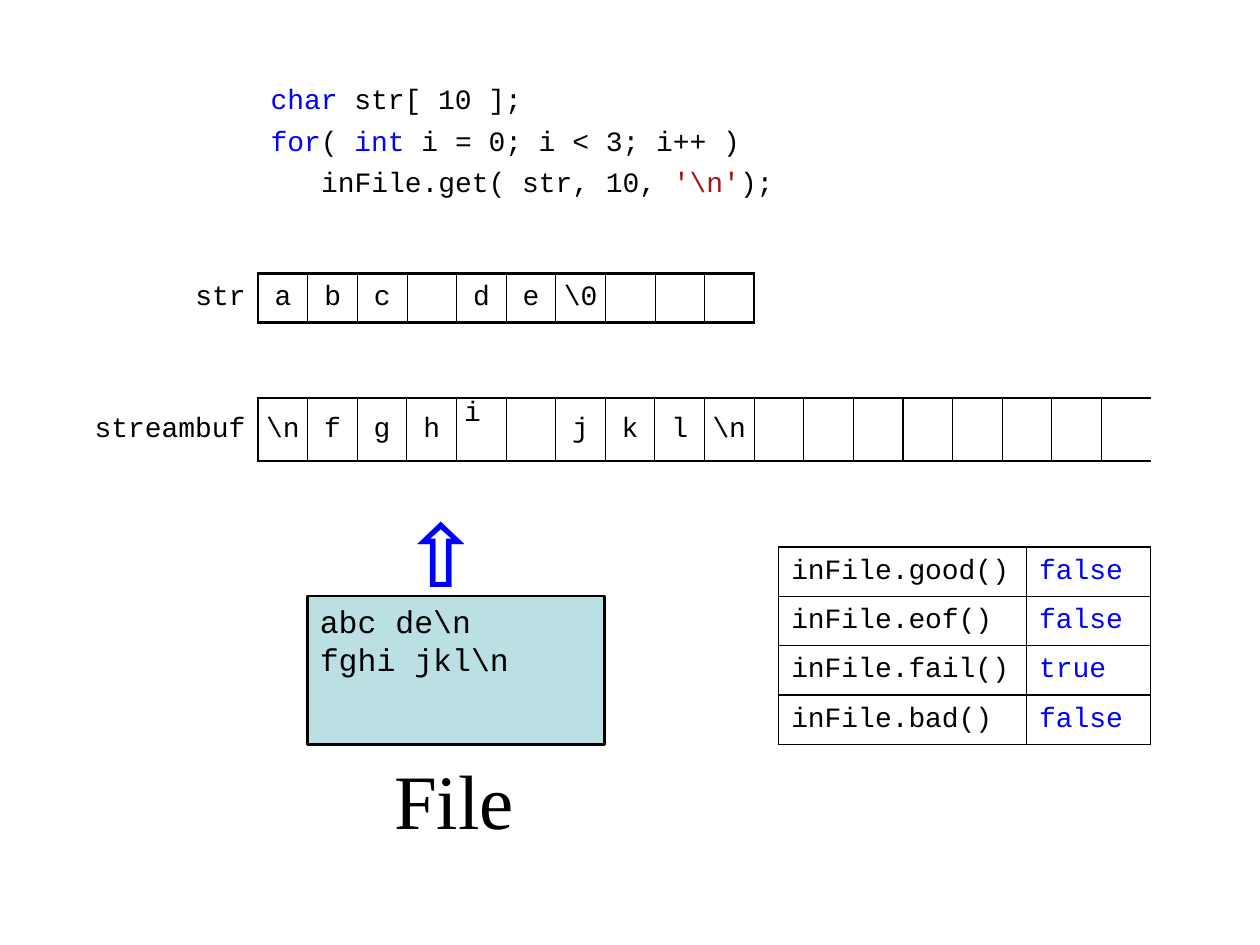
from lxml import etree
from pptx import Presentation
from pptx import util as u
from pptx.dml.color import RGBColor
from pptx.enum import shapes, text
from pptx.oxml.ns import qn

MONO, SERIF = "Courier New", "Times New Roman"
BLACK, BLUE, RED, TEAL = "000000", "0000FF", "A31515", "BBE0E3"
CELL = 0.394
LEFT, CENTER, RIGHT = text.PP_ALIGN.LEFT, text.PP_ALIGN.CENTER, text.PP_ALIGN.RIGHT


def rgb(value):
    return RGBColor.from_string(value)


def style(paragraph, size, color=BLACK, font=MONO, align=LEFT, bold=False):
    paragraph.alignment = align
    paragraph.font.size = u.Pt(size)
    paragraph.font.name = font
    paragraph.font.bold = bold
    paragraph.font.color.rgb = rgb(color)


def set_margins(target, left, top, right, bottom):
    target.margin_left, target.margin_top = u.Inches(left), u.Inches(top)
    target.margin_right, target.margin_bottom = u.Inches(right), u.Inches(bottom)


def add_text_frame(slide, box, margins=(0.1, 0.05, 0.1, 0.05), wrap=True):
    frame = slide.shapes.add_textbox(*map(u.Inches, box)).text_frame
    frame.word_wrap = wrap
    set_margins(frame, *margins)
    return frame


def set_borders(cell, left=0, right=0, top=0, bottom=0):
    """Draw the four cell borders; a width of 0 hides that side."""
    props = cell._tc.get_or_add_tcPr()
    sides = (("a:lnL", left), ("a:lnR", right), ("a:lnT", top), ("a:lnB", bottom))
    for place, (tag, width) in enumerate(sides):
        line = etree.Element(qn(tag), w=str(u.Pt(width)))
        if width:
            fill = etree.SubElement(line, qn("a:solidFill"))
            etree.SubElement(fill, qn("a:srgbClr"), val=BLACK)
        else:
            etree.SubElement(line, qn("a:noFill"))
        props.insert(place, line)


def fill_cell(cell, content, margins, color=BLACK, align=LEFT):
    cell.text = content
    cell.fill.background()
    cell.vertical_anchor = text.MSO_ANCHOR.MIDDLE
    set_margins(cell, *margins)
    style(cell.text_frame.paragraphs[0], 16, color, align=align)


def add_plain_table(slide, box, widths, rows):
    table = slide.shapes.add_table(rows, len(widths), *map(u.Inches, box)).table
    table.first_row = table.horz_banding = False
    for column, width in zip(table.columns, widths):
        column.width = u.Inches(width)
    for row in table.rows:
        row.height = u.Inches(box[3] / rows)
    return table


def add_code(slide, box):
    lines = [
        [("char ", BLUE), ("str[ 10 ];", BLACK)],
        [("for", BLUE), ("( ", BLACK), ("int", BLUE),
         (" i = 0; i < 3; i++ )", BLACK)],
        [("inFile.get( str, 10, ", BLACK), ("'\\n'", RED), (");", BLACK)],
    ]
    frame = add_text_frame(slide, box, (0.1, 0.05, 0.08, 0.05))
    for number, tokens in enumerate(lines):
        paragraph = frame.add_paragraph() if number else frame.paragraphs[0]
        style(paragraph, 16)
        if number:
            paragraph.space_before = u.Pt(4.4)
        for token, color in tokens:
            run = paragraph.add_run()
            run.text = token
            run.font.color.rgb = rgb(color)
    # Loop body is indented by three characters
    paragraph._p.get_or_add_pPr().set("marL", str(u.Inches(0.4)))


def add_buffer(slide, box, label, slots, open_ended=False):
    """A label followed by a row of character slots."""
    label_width = box[2] - CELL * len(slots)
    widths = [label_width] + [CELL] * len(slots)
    cells = add_plain_table(slide, box, widths, 1).rows[0].cells
    fill_cell(cells[0], label, (0, 0, 0.1, 0), align=RIGHT)
    set_borders(cells[0], right=1.5)
    last = len(slots)
    for number, character in enumerate(slots, 1):
        fill_cell(cells[number], character, (0, 0, 0, 0), align=CENTER)
        end = 0 if open_ended else 1.5
        set_borders(cells[number], left=1.5 if number == 1 else 0.75,
                    right=end if number == last else 0.75, top=1.5, bottom=1.5)
    return cells


def add_file(slide, box):
    left, top, width, height = box
    # Content of the file
    page = slide.shapes.add_shape(shapes.MSO_SHAPE.RECTANGLE, *map(u.Inches, box))
    page.shadow.inherit = False
    page.fill.solid()
    page.fill.fore_color.rgb = rgb(TEAL)
    page.line.color.rgb = rgb(BLACK)
    page.line.width = u.Pt(1.5)
    frame = page.text_frame
    frame.word_wrap = True
    frame.vertical_anchor = text.MSO_ANCHOR.TOP
    frame.text = "abc de\\n\nfghi jkl\\n"
    for paragraph in frame.paragraphs:
        style(paragraph, 18)
    # Arrow towards the buffer
    arrow = add_text_frame(slide, (left + 0.79, top - 0.98, 0.79, 0.98), (0, 0, 0, 0))
    arrow.text = "⇧"
    style(arrow.paragraphs[0], 66, BLUE, bold=True)
    # Caption below
    caption = add_text_frame(slide, (left + (width - 1.18) / 2, top + height + 0.01,
                                     1.18, 0.98), wrap=False)
    caption.text = "File"
    style(caption.paragraphs[0], 44, font=SERIF)


def add_states(slide, box):
    states = [("good", "false"), ("eof", "false"), ("fail", "true"), ("bad", "false")]
    table = add_plain_table(slide, box, (box[2] * 2 / 3, box[2] / 3), len(states))
    for row, (check, value) in zip(table.rows, states):
        contents = ((f"inFile.{check}()", BLACK), (value, BLUE))
        for cell, (content, color) in zip(row.cells, contents):
            fill_cell(cell, content, (0.1, 0.04, 0.1, 0.04), color)
            set_borders(cell, 1, 1, 1, 1)


def main():
    deck = Presentation()
    deck.slide_width, deck.slide_height = u.Inches(10), u.Inches(7.5)
    slide = deck.slides.add_slide(deck.slide_layouts[6])

    add_code(slide, (2.05, 0.6, 4.33, 0.98))
    add_buffer(slide, (1.46, 2.17, 4.53, 0.39), "str",
               ["a", "b", "c", "", "d", "e", "\\0", "", "", ""])
    add_file(slide, (2.44, 4.73, 2.36, 1.18))
    add_states(slide, (6.18, 4.34, 2.95, 1.57))
    stream = ["\\n", "f", "g", "h", "i", "", "j", "k", "l", "\\n"] + [""] * 8
    cells = add_buffer(slide, (0.67, 3.16, 8.47, 0.5), "streambuf", stream,
                       open_ended=True)

    # The next character to read sits at the top left of its slot
    next_slot = cells[1 + stream.index("i")]
    next_slot.vertical_anchor = text.MSO_ANCHOR.TOP
    next_slot.margin_left = u.Inches(0.06)
    next_slot.text_frame.paragraphs[0].alignment = LEFT

    deck.save("out.pptx")


if __name__ == "__main__":
    main()
